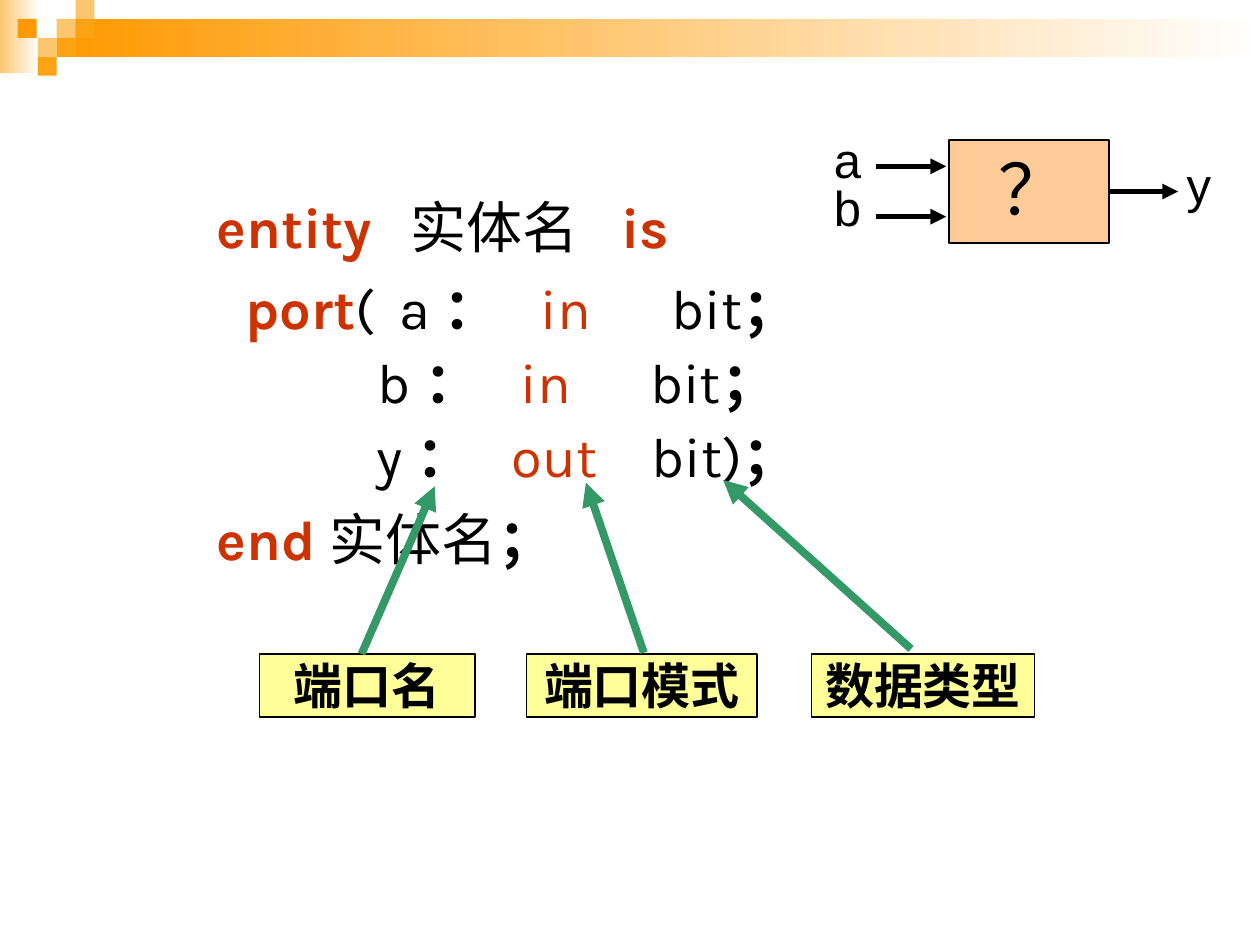
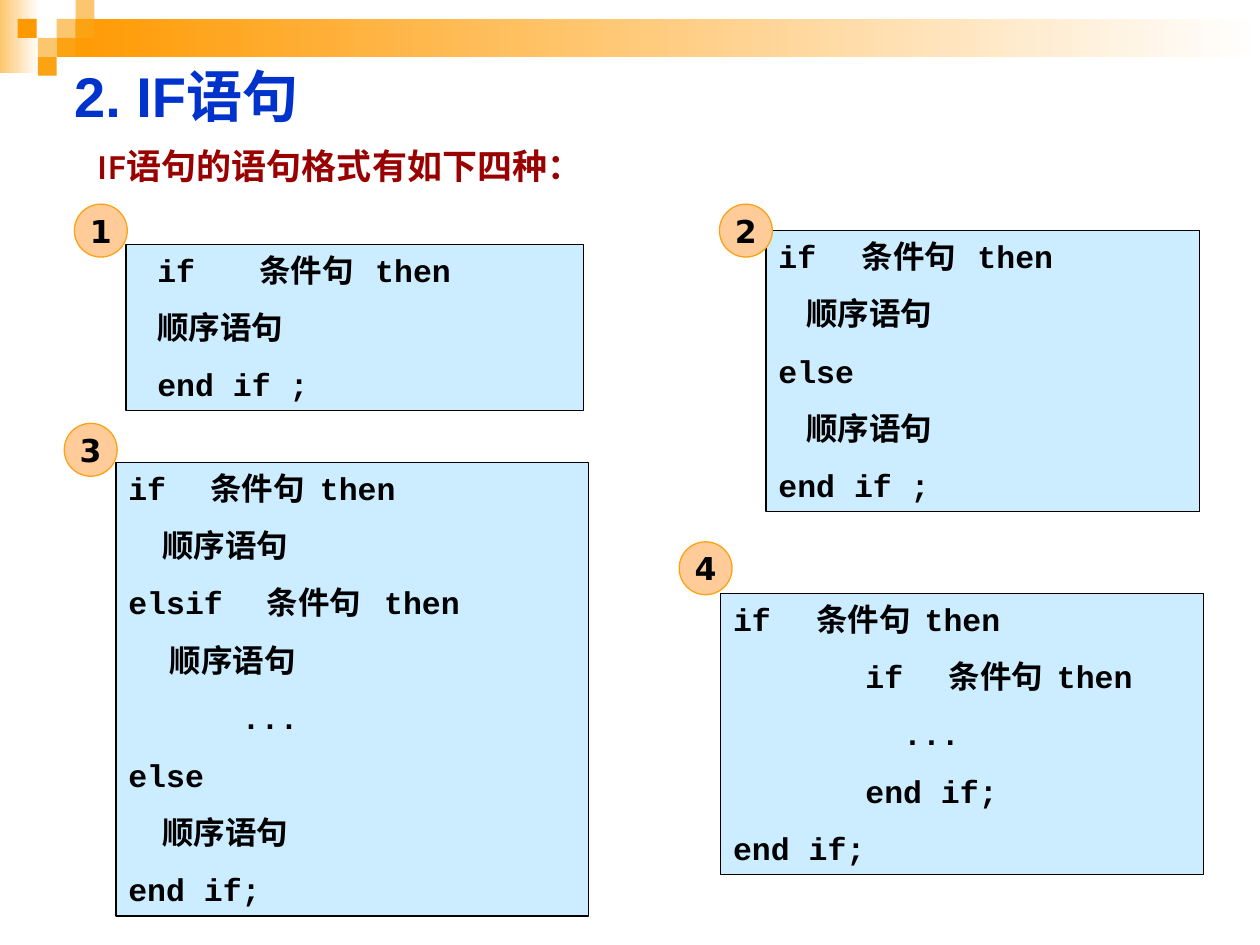
from lxml import etree
from pptx import Presentation
from pptx import util as u
from pptx.dml.color import RGBColor
from pptx.enum import shapes, text
from pptx.oxml.ns import qn

HUE = {
    "black": "000000", "white": "FFFFFF", "key": "CC3300", "label": "FFFF99",
    "arrow": "339966", "peach": "FFCC99", "code": "CCECFF", "title": "0033CC",
    "lead": "990000", "light": "FCC66E", "mid": "FBA313", "deep": "FF9900",
}
SIDE = 0.15  # edge of one small square in the header
BANDS = [((0, 0, 0.31, 0.58), "light"), ((0.45, 0.15, 9.55, 0.3), "deep")]
TILES = [((0.45, 0.15), "light"), ((0.6, 0), "light"), ((0.6, 0.15), "mid"),
         ((0.3, 0.3), "light"), ((0.14, 0.15), "deep"), ((0.45, 0.3), "mid"),
         ((0.3, 0.45), "mid")]

# Style of a run: (font, colour, bold)
KEY = ("Karla", "key", True)
MODE = ("Karla", "key", False)
BODY = ("Karla", "black", False)
COLON = ("Times New Roman", "black", True)
SEMI = ("Karla", "black", True)

# Each line: tab stops, line spacing, runs
ENTITY = [
    ([1.54, 3.21], 1, [("entity\t", KEY), ("实体名\t", BODY), ("is", KEY)]),
    ([0.23, 1.45, 2.57, 3.61], 1,
     [("\t", BODY), ("port", KEY), ("(\ta ", BODY), ("：\t", COLON),
      ("in\t", MODE), ("bit", BODY), ("；", SEMI)]),
    ([1.28, 2.41, 3.44], 0.9,
     [("\tb ", BODY), ("：\t", COLON), ("in\t", MODE), ("bit", BODY), ("；", SEMI)]),
    ([1.27, 2.34, 3.45], 0.9,
     [("\ty ", BODY), ("：\t", COLON), ("out\t", MODE), ("bit)", BODY), ("；", SEMI)]),
    ([], 1, [("end ", KEY), ("实体名", BODY),
             ("；", ("Noto Sans CJK SC", "black", True))]),
]
# Each label: text, left, width, arrow start, arrow end
LABELS = [
    ("端口名", 2.06, 1.71, (2.87, 5.19), (3.45, 3.86)),
    ("端口模式", 4.18, 1.83, (5.11, 5.18), (4.65, 3.83)),
    ("数据类型", 6.44, 1.77, (7.23, 5.15), (5.74, 3.81)),
]
PINS = [("a", 6.52, 0.98), ("b", 6.52, 1.36), ("y", 9.32, 1.18)]

# Each form: badge place, box, lines as (text, tab stops)
FORMS = [
    ((0.59, 1.62), (1, 1.94, 3.63, 1.32), [
        ("\tif\t条件句\tthen", [0.15, 0.96, 1.88]), ("\t顺序语句", [0.15]),
        ("\tend if ;", [0.15])]),
    ((5.71, 1.62), (6.08, 1.83, 3.44, 2.23), [
        ("if\t条件句\tthen", [0.66, 1.58]), ("\t顺序语句", [0.22]), ("else", []),
        ("\t顺序语句", [0.22]), ("end if ;", [])]),
    ((0.51, 3.36), (0.92, 3.67, 3.75, 3.6), [
        ("if\t条件句\tthen", [0.65, 1.52]), ("\t顺序语句", [0.27]),
        ("elsif\t条件句\tthen", [1.1, 2.03]), ("\t顺序语句", [0.33]),
        ("\t...", [0.9]), ("else", []), ("\t顺序语句", [0.27]), ("end if;", [])]),
    ((5.39, 4.3), (5.72, 4.71, 3.83, 2.23), [
        ("if\t条件句\tthen", [0.66, 1.52]),
        ("\tif\t条件句\tthen", [1.05, 1.71, 2.57]),
        ("\t...", [1.35]), ("\tend if;", [1.05]), ("end if;", [])]),
]


def rgb(name):
    return RGBColor.from_string(HUE[name])


def shape(page, at, fill, line=None, kind="RECTANGLE", wide=0.75):
    box = page.shapes.add_shape(getattr(shapes.MSO_SHAPE, kind), *map(u.Inches, at))
    box.shadow.inherit = False
    box.fill.solid()
    box.fill.fore_color.rgb = rgb(fill)
    if line:
        box.line.color.rgb = rgb(line)
        box.line.width = u.Pt(wide)
    else:
        box.line.fill.background()
    return box


def frame(box, pad=(0.1, 0.05), anchor="TOP", wrap=True):
    tf = box.text_frame
    tf.margin_left = tf.margin_right = u.Inches(pad[0])
    tf.margin_top = tf.margin_bottom = u.Inches(pad[1])
    tf.vertical_anchor = getattr(text.MSO_ANCHOR, anchor)
    tf.word_wrap = wrap
    return tf


def note(page, at, **opts):
    return frame(page.shapes.add_textbox(*map(u.Inches, at)), **opts)


def write(tf, lines, size, gap=0, align="LEFT"):
    """Fill a frame with lines of (tab stops, line spacing, runs)."""
    for i, (stops, pitch, runs) in enumerate(lines):
        par = tf.add_paragraph() if i else tf.paragraphs[0]
        if stops:
            tabs = etree.SubElement(par._p.get_or_add_pPr(), qn("a:tabLst"))
            for stop in stops:
                etree.SubElement(tabs, qn("a:tab"), pos=str(u.Inches(stop)), algn="l")
        par.alignment = getattr(text.PP_ALIGN, align)
        par.line_spacing = pitch
        par.space_before = u.Pt(gap if i else 0)
        for words, (face, hue, bold) in runs:
            run = par.add_run()
            run.text = words
            run.font.name, run.font.size, run.font.bold = face, u.Pt(size), bold
            run.font.color.rgb = rgb(hue)


def say(tf, words, size, style, **opts):
    write(tf, [([], 1, [(words, style)])], size, **opts)


def arrow(page, start, end, hue, wide):
    line = page.shapes.add_connector(shapes.MSO_CONNECTOR.STRAIGHT,
                                     *map(u.Inches, start + end))
    line.line.color.rgb = rgb(hue)
    line.line.width = u.Pt(wide)
    etree.SubElement(line.line._get_or_add_ln(), qn("a:tailEnd"), type="triangle")
    etree.SubElement(line._element.spPr, qn("a:effectLst"))
    return line


def start(deck):
    """Add a slide with the shared header."""
    page = deck.slides.add_slide(deck.slide_layouts[6])
    for at, hue in BANDS:
        fill = shape(page, at, hue).fill
        fill.gradient()
        fill.gradient_angle = 0
        for stop, tint in zip(fill.gradient_stops, (hue, "white")):
            stop.color.rgb = rgb(tint)
    for spot, hue in TILES:
        shape(page, spot + (SIDE, SIDE), hue)
    return page


def entity(deck):
    page = start(deck)
    write(note(page, (1.72, 1.48, 7.5, 5.5), pad=(0, 0.05)), ENTITY, 32, gap=8)
    for words, left, wide, tip, end in LABELS:
        box = shape(page, (left, 5.19, wide, 0.5), "label", "black")
        say(frame(box, pad=(0.01, 0.01)), words, 28, COLON, align="CENTER")
        arrow(page, tip, end, "arrow", 4.5)
    gate = shape(page, (7.53, 1.11, 1.27, 0.82), "peach", "black", wide=1)
    for y in (1.32, 1.72):
        arrow(page, (6.95, y), (7.51, y), "black", 3)
    arrow(page, (8.8, 1.52), (9.35, 1.52), "black", 3).begin_connect(gate, 3)
    plain = ("Arial", "black", False)
    for name, x, y in PINS:
        say(note(page, (x, y, 0.41, 0.57), wrap=False), name, 28, plain)
    say(note(page, (7.83, 1.11, 0.75, 0.77), wrap=False), "？", 40, plain)


def forms(deck):
    page = start(deck)
    say(note(page, (0.49, 0.24, 8.24, 1.03), anchor="MIDDLE"), "2. IF语句", 32,
        ("Arial", "title", True))
    say(note(page, (0.67, 1.1, 4.5, 0.44)), "IF语句的语句格式有如下四种：", 20,
        ("Karla", "lead", True))
    code = ("Courier New", "black", True)
    for num, (spot, at, lines) in enumerate(FORMS, 1):
        box = shape(page, at, "code", "black")
        write(frame(box), [(stops, 1, [(words, code)]) for words, stops in lines],
              18, gap=11.2)
        badge = shape(page, spot + (0.42, 0.42), "peach", "mid", "OVAL")
        say(frame(badge, anchor="MIDDLE", wrap=False), str(num), 18,
            ("DejaVu Sans", "black", True), align="CENTER")


def main():
    deck = Presentation()
    deck.slide_width, deck.slide_height = u.Inches(10), u.Inches(7.5)
    entity(deck)
    forms(deck)
    deck.save("out.pptx")


if __name__ == "__main__":
    main()
